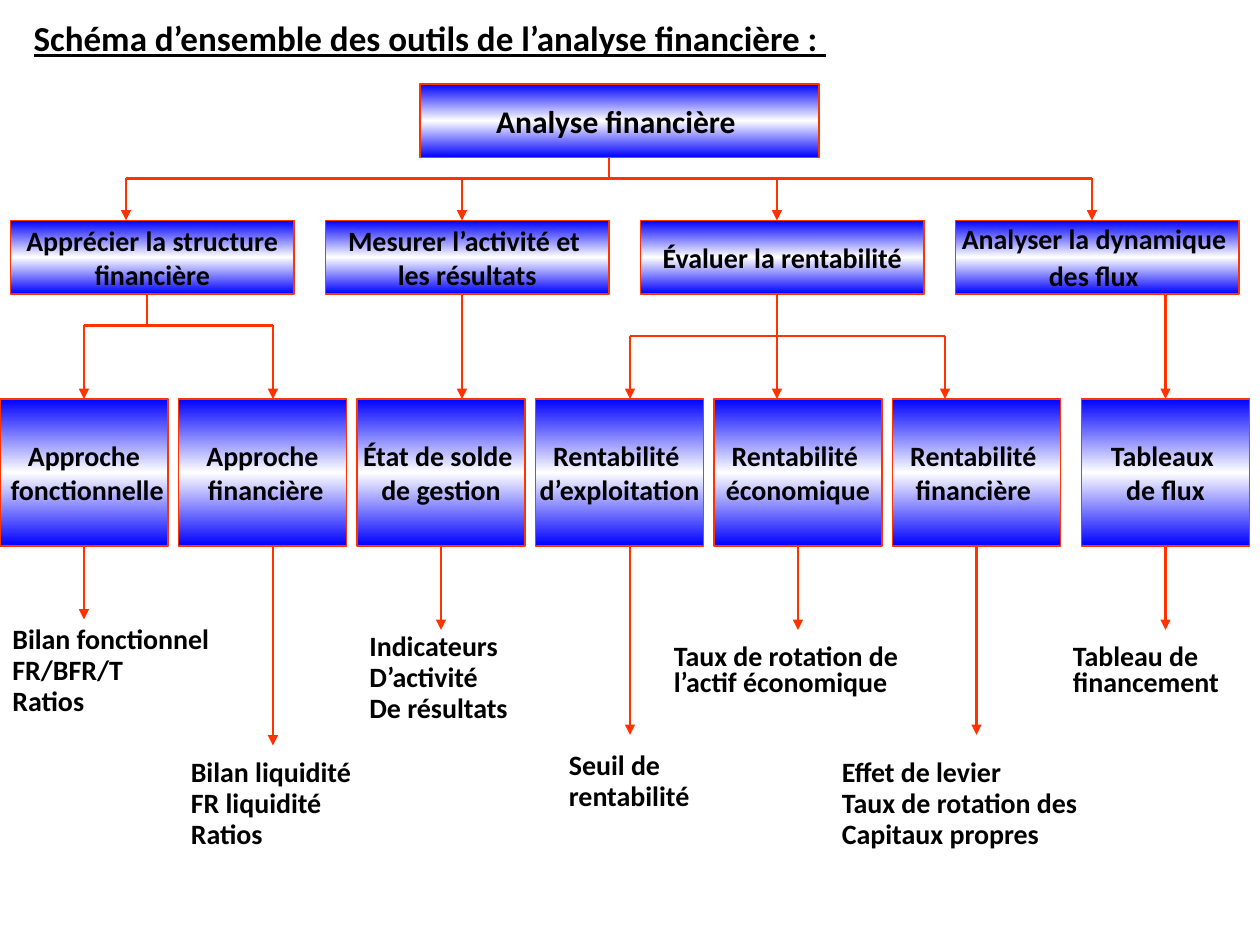
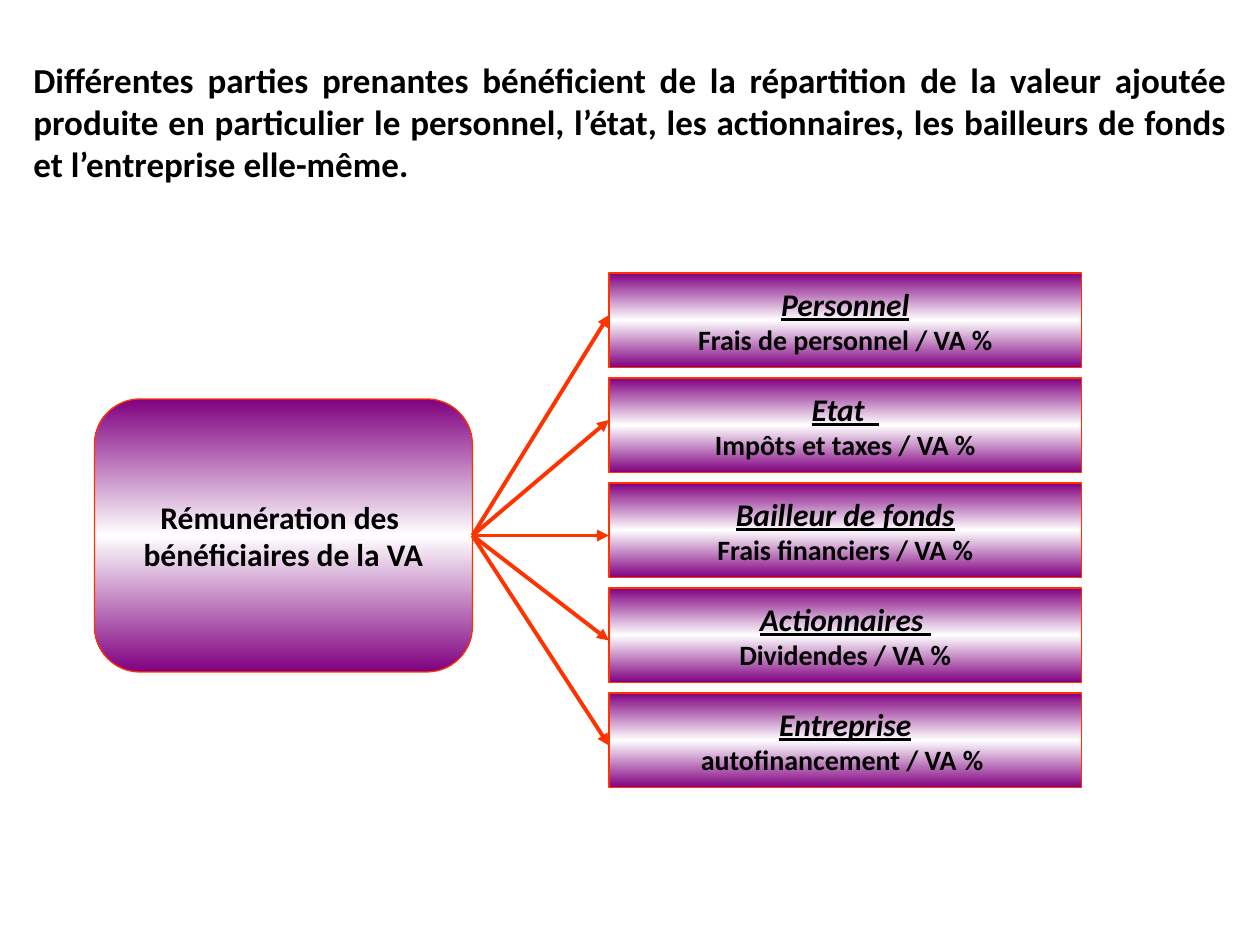
from copy import deepcopy

from lxml.etree import SubElement
from pptx import Presentation
from pptx.dml.color import RGBColor
from pptx.enum.shapes import MSO_CONNECTOR, MSO_SHAPE
from pptx.enum.text import MSO_ANCHOR, MSO_AUTO_SIZE, PP_ALIGN
from pptx.oxml.ns import qn
from pptx.util import Cm, Pt

FONT = "Calibri"
BLACK, WHITE = "000000", "FFFFFF"
RED, BLUE, PLUM = "FF3300", "0000FF", "800080"

GOALS = [
    "Apprécier la structure\nfinancière",
    "Mesurer l’activité et \nles résultats",
    "Évaluer la rentabilité",
    "Analyser la dynamique \ndes flux",
]
TOOLS = [
    (0, "Approche\n fonctionnelle"),
    (17, "Approche\n financière"),
    (34, "État de solde \nde gestion"),
    (51, "Rentabilité \nd’exploitation"),
    (68, "Rentabilité \néconomique"),
    (85, "Rentabilité \nfinancière "),
    (103, "Tableaux \nde flux"),
]
RESULTS = [
    (8, 59, (0, 60, 22, 9.2), 0.5, "Bilan fonctionnel\nFR/BFR/T\nRatios"),
    (26, 71, (17, 72.7, 19, 9.2), 0.5, "Bilan liquidité\nFR liquidité\nRatios"),
    (42, 60, (34, 60.7, 17, 9.2), 0.5, "Indicateurs\nD’activité\nDe résultats"),
    (60, 70, (53, 72, 15, 6), 0.5, "Seuil de\nrentabilité"),
    (76, 60, (63, 61, 25, 6), 0.75, "Taux de rotation de l’actif économique"),
    (93, 70, (79, 72.7, 26, 9.2), 0.5,
     "Effet de levier\nTaux de rotation des\nCapitaux propres"),
    (111, 60, (101, 61, 17, 6), 0.75, "Tableau de financement"),
]
SHARES = [
    "Personnel\nFrais de personnel / VA %",
    "Etat  \nImpôts et taxes / VA %",
    "Bailleur de fonds\nFrais financiers / VA %",
    "Actionnaires \nDividendes / VA %",
    "Entreprise\nautofinancement / VA % ",
]


def color(code):
    """Turn a hex string into a colour."""
    return RGBColor.from_string(code)


def grid(*steps):
    """Turn grid steps, twelve to the inch, into lengths."""
    return [Cm(step * 2.54 / 12) for step in steps]


def style(font, size):
    """Give a font the shared bold look."""
    font.name = FONT
    font.size = Pt(size)
    font.bold = True
    font.color.rgb = color(BLACK)


def write(frame, text, size, align):
    """Put text in a frame, one paragraph a line."""
    frame.text = text
    for para in frame.paragraphs:
        para.alignment = align
        for run in para.runs:
            style(run.font, size)


def card(slide, box, text, tint, size=16, form=MSO_SHAPE.RECTANGLE):
    """Draw a box with a mirrored gradient and centred text."""
    shape = slide.shapes.add_shape(form, *grid(*box))
    shape.shadow.inherit = False
    shape.line.color.rgb = color(RED)
    shape.line.width = Pt(0.75)
    shape.fill.gradient()
    shape.fill.gradient_angle = 270
    stops = shape._element.spPr.find(qn("a:gradFill")).find(qn("a:gsLst"))
    stops.insert(1, deepcopy(stops[0]))
    for stop, place, code in zip(shape.fill.gradient_stops, (0, 0.5, 1), (tint, WHITE, tint)):
        stop.position = place
        stop.color.rgb = color(code)
    frame = shape.text_frame
    frame.word_wrap = False
    frame.vertical_anchor = MSO_ANCHOR.MIDDLE
    write(frame, text, size, PP_ALIGN.CENTER)
    return shape


def note(slide, box, text, size=16, align=PP_ALIGN.LEFT, pitch=None):
    """Draw a plain text box, with tight lines if a pitch is given."""
    frame = slide.shapes.add_textbox(*grid(*box)).text_frame
    frame.word_wrap = True
    write(frame, text, size, align)
    for rank, para in enumerate(frame.paragraphs):
        para.line_spacing = pitch
        if rank:
            para.space_before = Pt(size / 2)


def link(slide, start, end, width=1.5, arrow=True):
    """Join two grid points with a red line."""
    line = slide.shapes.add_connector(MSO_CONNECTOR.STRAIGHT, *grid(*start, *end))
    line.line.color.rgb = color(RED)
    line.line.width = Pt(width)
    props = line._element.spPr
    if arrow:
        SubElement(props.find(qn("a:ln")), qn("a:tailEnd"), type="triangle")
    SubElement(props, qn("a:effectLst"))


def tree(slide, stem, top, bar, foot, ends):
    """Draw a stem, a crossbar and an arrow down to each end."""
    link(slide, (stem, top), (stem, bar), arrow=False)
    link(slide, (ends[0], bar), (ends[-1], bar), arrow=False)
    for end in ends:
        link(slide, (end, bar), (end, foot))


def head(slide, box, text):
    """Place and format the title."""
    title = slide.shapes.title
    title.left, title.top, title.width, title.height = grid(*box)
    frame = title.text_frame
    frame.word_wrap = True
    frame.auto_size = MSO_AUTO_SIZE.NONE
    frame.vertical_anchor = MSO_ANCHOR.TOP
    write(frame, text, 20, PP_ALIGN.LEFT)
    frame.paragraphs[0].runs[0].font.underline = True


def levels(slide):
    """Draw the three levels of boxes and their links."""
    card(slide, (40, 8, 38, 7), "Analyse financière ", BLUE, 18)
    for rank, goal in enumerate(GOALS):
        last = card(slide, (1 + 30 * rank, 21, 27, 7), goal, BLUE)
    space = last.text_frame.paragraphs[-1].add_run()
    space.text = " "
    style(space.font, 18)
    for left, tool in TOOLS:
        card(slide, (left, 38, 16, 14), tool, BLUE)
    tree(slide, 58, 15, 17, 21, [12, 44, 74, 104])
    tree(slide, 14, 28, 31, 38, [8, 26])
    tree(slide, 74, 28, 32, 38, [60, 74, 90])
    for mid in (44, 111):
        link(slide, (mid, 28), (mid, 38))


def results(slide, top):
    """Draw the arrows from the tools and the text below them."""
    for mid, foot, box, pitch, text in RESULTS:
        link(slide, (mid, top), (mid, foot))
        note(slide, box, text, pitch=pitch)


def shares(slide, box, gap):
    """Stack one box per party and point the hub at each."""
    left, top, width, height = box
    for rank, share in enumerate(SHARES):
        spot = (left, top + rank * (height + gap), width, height)
        name = card(slide, spot, share, PLUM).text_frame.paragraphs[0].runs[0].font
        name.size = Pt(18)
        name.italic = name.underline = True
    for end in (30, 40, 51, 61, 71):
        link(slide, (45, 51), (left, end), 2.25)


def main():
    """Build both slides and save them."""
    deck = Presentation()
    deck.slide_width, deck.slide_height = grid(120, 90)

    tools = deck.slides.add_slide(deck.slide_layouts[5])
    head(tools, (2, 1, 113, 5.2), "Schéma d’ensemble des outils de l’analyse financière : ")
    levels(tools)
    results(tools, 52)

    split = deck.slides.add_slide(deck.slide_layouts[6])
    note(split, (2, 5, 116, 13.2),
         "Différentes parties prenantes bénéficient de la répartition de la valeur ajoutée "
         "produite en particulier le personnel, l’état, les actionnaires, les bailleurs de "
         "fonds et l’entreprise elle-même.", 20, PP_ALIGN.JUSTIFY)
    card(split, (9, 38, 36, 26), "Rémunération des \nbénéficiaires de la VA", PLUM, 18,
         MSO_SHAPE.ROUNDED_RECTANGLE)
    shares(split, (58, 26, 45, 9), 1)
    deck.save("out.pptx")


if __name__ == "__main__":
    main()
